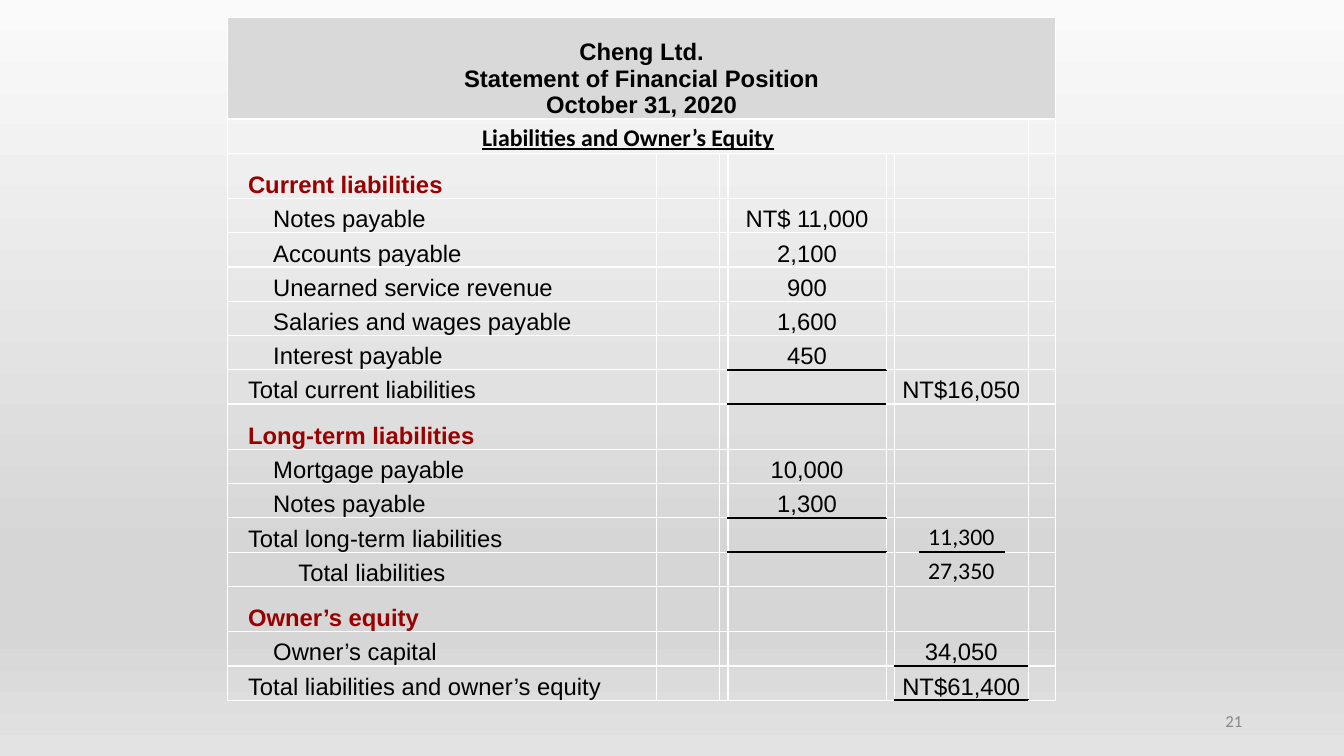
import pptx
import pptx.util
import pptx.dml.color
import pptx.enum.shapes
import pptx.enum.text
import pptx.oxml
import pptx.oxml.ns

Inches, Pt = pptx.util.Inches, pptx.util.Pt
RGB = pptx.dml.color.RGBColor
ALIGN = pptx.enum.text.PP_ALIGN
ANCHOR = pptx.enum.text.MSO_ANCHOR
NS = pptx.oxml.ns.nsdecls("a")

BLACK = RGB(0x00, 0x00, 0x00)
WHITE = RGB(0xFF, 0xFF, 0xFF)
RED = RGB(0x99, 0x00, 0x00)
BAND = RGB(0xD9, 0xD9, 0xD9)
GREY = RGB(0x88, 0x88, 0x88)
STOPS = [(0, RGB(0xFA, 0xFA, 0xFA)), (74, RGB(0xD6, 0xD6, 0xD6)),
         (83, RGB(0xD6, 0xD6, 0xD6)), (100, RGB(0xE3, 0xE3, 0xE3))]

WIDE, HIGH = 13.33, 7.5
LEFT, TOP = 2.26, 0.17
COLS = [4.25, 0.63, 0.08, 1.57, 0.08, 1.33, 0.27]
HEAD_H, SECT_H, ROW_H = 1.01, 0.45, 0.34
PART, SUM = 3, 5  # columns of amounts
STEP = 0.25  # indent of one level

HEAD = ["Cheng Ltd.", "Statement of Financial Position", "October 31, 2020"]
SIDE = "Liabilities and Owner’s Equity"
# label, level (None for a section), column, amount, font of the amount
ROWS = [
    ("Current liabilities", None, None, "", "Arial"),
    ("Notes payable", 1, PART, "NT$ 11,000", "Arial"),
    ("Accounts payable", 1, PART, "2,100", "Arial"),
    ("Unearned service revenue", 1, PART, "900", "Arial"),
    ("Salaries and wages payable", 1, PART, "1,600", "Arial"),
    ("Interest payable", 1, PART, "450", "Arial"),
    ("Total current liabilities", 0, SUM, "NT$16,050", "Arial"),
    ("Long-term liabilities", None, None, "", "Arial"),
    ("Mortgage payable", 1, PART, "10,000", "Arial"),
    ("Notes payable", 1, PART, "1,300", "Arial"),
    ("Total long-term liabilities", 0, SUM, "11,300", "Calibri"),
    ("Total liabilities", 2, SUM, "27,350", "Calibri"),
    ("Owner’s equity", None, None, "", "Arial"),
    ("Owner’s capital", 1, SUM, "34,050", "Arial"),
    ("Total liabilities and owner’s equity", 0, SUM, "NT$61,400", "Arial"),
]
# cells with a black rule above and below: row, column
RULED = [(8, PART), (12, PART), (16, SUM)]


def paint_back(slide):
    fill = slide.background.fill
    fill.gradient()
    fill.gradient_angle = 270
    stops = "".join(
        f'<a:gs pos="{pos * 1000}"><a:srgbClr val="{tone}"/></a:gs>'
        for pos, tone in STOPS)
    grad = slide.background._cSld.find(".//" + pptx.oxml.ns.qn("a:gradFill"))
    old = grad.find(pptx.oxml.ns.qn("a:gsLst"))
    grad.replace(old, pptx.oxml.parse_xml(f"<a:gsLst {NS}>{stops}</a:gsLst>"))


def add_run(para, text, size=17, face="Arial", tone=BLACK, bold=False, under=False):
    run = para.add_run()
    run.text = text
    font = run.font
    font.size, font.name, font.bold, font.underline = Pt(size), face, bold, under
    font.color.rgb = tone


def fill_cell(cell, lines, align=ALIGN.CENTER, level=0, **look):
    frame = cell.text_frame
    for i, line in enumerate(lines):
        para = frame.add_paragraph() if i else frame.paragraphs[0]
        para.alignment = align
        if level:
            props = para._p.get_or_add_pPr()
            props.set("marL", str(Inches(level * STEP)))
            props.set("indent", "0")
        add_run(para, line, **look)


def set_edge(cell, side, tone, width):
    props = cell._tc.get_or_add_tcPr()
    edge = pptx.oxml.parse_xml(
        f'<a:ln{side} {NS} w="{Pt(width)}"><a:solidFill>'
        f'<a:srgbClr val="{tone}"/></a:solidFill></a:ln{side}>')
    # edges come before the fill, in the order left, right, top, bottom
    props.insert("LRTB".index(side), edge)


def style_cell(cell, above, below):
    cell.margin_left = cell.margin_right = cell.margin_top = cell.margin_bottom = 0
    cell.vertical_anchor = ANCHOR.BOTTOM
    cell.fill.background()
    for side, black in zip("LRTB", (False, False, above, below)):
        set_edge(cell, side, BLACK if black else WHITE, 1.5 if black else 1)


def add_sheet(slide):
    highs = [HEAD_H, ROW_H] + [SECT_H if row[1] is None else ROW_H for row in ROWS]
    frame = slide.shapes.add_table(
        len(highs), len(COLS), Inches(LEFT), Inches(TOP),
        Inches(sum(COLS)), Inches(sum(highs)))
    table = frame.table
    table.first_row = table.horz_banding = False
    for col, width in zip(table.columns, COLS):
        col.width = Inches(width)
    for row, high in zip(table.rows, highs):
        row.height = Inches(high)

    # Grid lines and black rules
    for r in range(len(highs)):
        for c in range(len(COLS)):
            above = (r, c) in RULED or (r - 1, c) in RULED
            below = (r, c) in RULED or (r + 1, c) in RULED
            style_cell(table.cell(r, c), above, below)

    # Heading rows
    top, side = table.cell(0, 0), table.cell(1, 0)
    top.merge(table.cell(0, len(COLS) - 1))
    top.fill.solid()
    top.fill.fore_color.rgb = BAND
    fill_cell(top, HEAD, bold=True)
    side.merge(table.cell(1, SUM))
    fill_cell(side, [SIDE], face="Calibri", bold=True, under=True)

    # Accounts
    for r, (label, level, col, amount, face) in enumerate(ROWS, 2):
        cell = table.cell(r, 0)
        cell.margin_left = Inches(0.2)
        if level is None:
            cell.margin_top = Inches(0.1)
            fill_cell(cell, [label], ALIGN.LEFT, tone=RED, bold=True)
        else:
            fill_cell(cell, [label], ALIGN.LEFT, level)
            fill_cell(table.cell(r, col), [amount], face=face)


def add_rule(slide, left, right, y):
    line = slide.shapes.add_connector(
        pptx.enum.shapes.MSO_CONNECTOR.STRAIGHT,
        Inches(left), Inches(y), Inches(right), Inches(y))
    line.line.color.rgb = BLACK
    line.line.width = Pt(1.5)
    line._element.spPr.append(pptx.oxml.parse_xml(f"<a:effectLst {NS}/>"))


def add_page(slide, text):
    box = slide.shapes.add_textbox(Inches(9.42), Inches(6.95), Inches(3), Inches(0.4))
    frame = box.text_frame
    frame.word_wrap = True
    frame.vertical_anchor = ANCHOR.MIDDLE
    para = frame.paragraphs[0]
    para.alignment = ALIGN.RIGHT
    add_run(para, text, size=12, face="Calibri", tone=GREY)


def main():
    deck = pptx.Presentation()
    deck.slide_width, deck.slide_height = Inches(WIDE), Inches(HIGH)
    slide = deck.slides.add_slide(deck.slide_layouts[6])
    paint_back(slide)
    add_page(slide, "21")
    add_sheet(slide)
    # Rule under the long-term total
    add_rule(slide, 9.11, 9.97, 5.48)
    deck.save("out.pptx")


if __name__ == "__main__":
    main()
